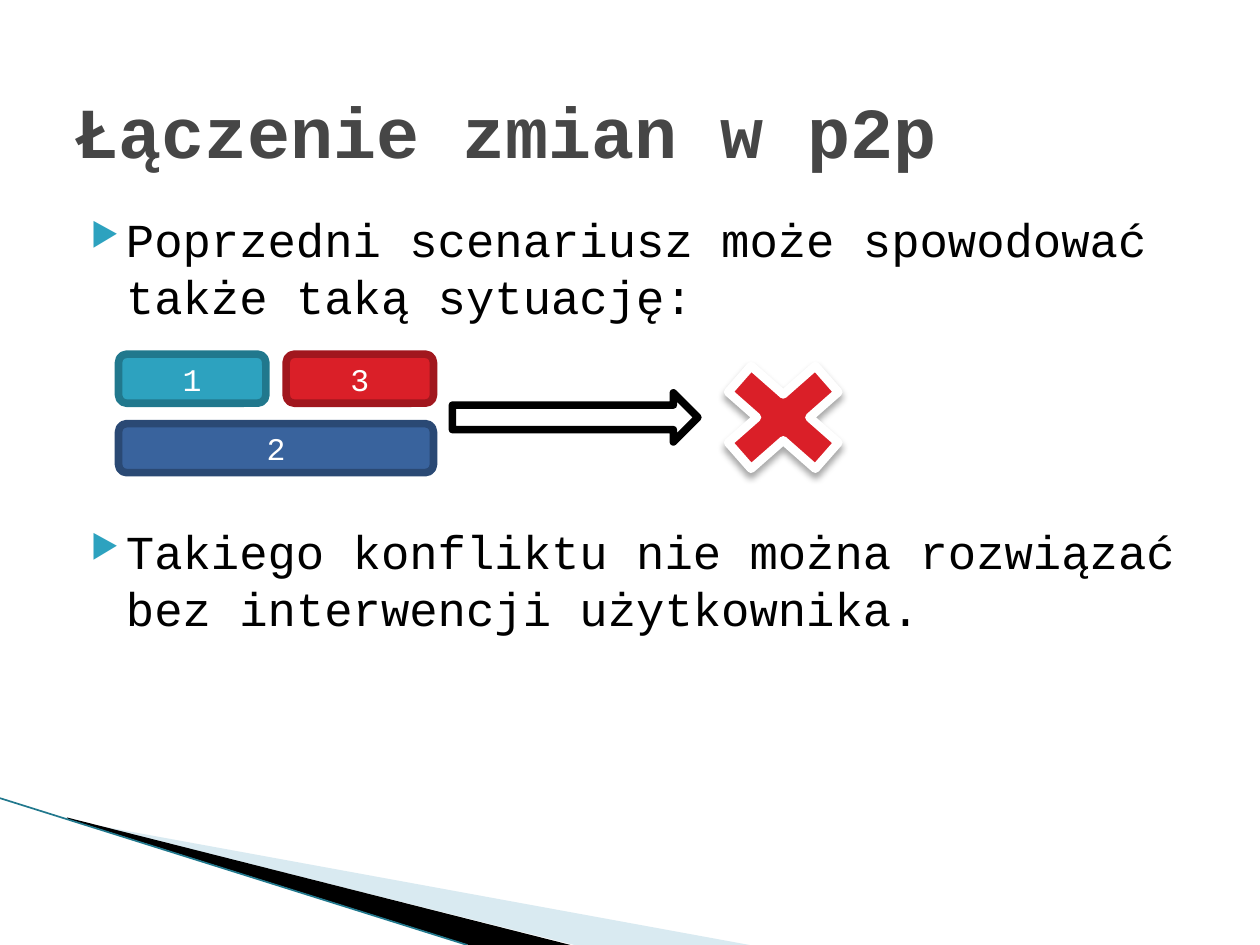
"""Build the slide on merging changes in p2p."""
from dataclasses import dataclass

from lxml import etree
from pptx import Presentation
from pptx.dml.color import RGBColor
from pptx.enum.shapes import MSO_CONNECTOR, MSO_SHAPE
from pptx.enum.text import MSO_ANCHOR, PP_ALIGN
from pptx.oxml.ns import qn
from pptx.util import Cm, Pt

ROUNDED = MSO_SHAPE.ROUNDED_RECTANGLE
ARROW = MSO_SHAPE.RIGHT_ARROW
CROSS = MSO_SHAPE.MATH_MULTIPLY
STRAIGHT = MSO_CONNECTOR.STRAIGHT
TOP, MIDDLE = MSO_ANCHOR.TOP, MSO_ANCHOR.MIDDLE
LEFT, CENTER = PP_ALIGN.LEFT, PP_ALIGN.CENTER


@dataclass(frozen=True)
class Theme:
    font: str = "Courier New"
    title_size: float = 41
    body_size: float = 27
    label_size: float = 18
    body_leading: float = 32.6
    outline: float = 4.33
    cross_outline: float = 5
    title: str = "464646"
    black: str = "000000"
    white: str = "FFFFFF"
    teal: str = "2DA2BF"
    teal_dark: str = "21788D"
    red: str = "DA1F28"
    red_dark: str = "A1171E"
    blue: str = "39639D"
    blue_dark: str = "2A4974"
    pale: str = "A0CBDC"


@dataclass(frozen=True)
class Block:
    kind: int
    x: float
    y: float
    w: float
    h: float
    fill: str
    line: str
    width: float
    label: str = ""


@dataclass(frozen=True)
class Bullet:
    text: str
    before: float


@dataclass(frozen=True)
class Wedge:
    points: tuple
    fill: str
    alpha: int


THEME = Theme()
BOX_X, BOX_Y, BOX_W, BOX_H, GAP = 2.39, 7.14, 2.97, 0.99, 0.41

BLOCKS = (
    Block(ROUNDED, BOX_X, BOX_Y, BOX_W, BOX_H,
          THEME.teal, THEME.teal_dark, THEME.outline, "1"),
    Block(ROUNDED, BOX_X + BOX_W + GAP, BOX_Y, BOX_W, BOX_H,
          THEME.red, THEME.red_dark, THEME.outline, "3"),
    Block(ROUNDED, BOX_X, BOX_Y + BOX_H + GAP, 2 * BOX_W + GAP, BOX_H,
          THEME.blue, THEME.blue_dark, THEME.outline, "2"),
    Block(ARROW, 9.12, 7.92, 4.95, BOX_H,
          THEME.white, THEME.black, THEME.outline),
    Block(CROSS, 14.1, 6.93, 3.38, 2.97,
          THEME.red, THEME.white, THEME.cross_outline),
)
BULLETS = (
    Bullet("Poprzedni scenariusz może spowodować także taką sytuację:", 4),
    Bullet("Takiego konfliktu nie można rozwiązać bez interwencji użytkownika.", 113),
)
WEDGES = (
    Wedge(((1.4, 16.54), (15.11, 19.05), (11.58, 19.05), (1.4, 16.51)),
          THEME.pale, 40),
    Wedge(((1.35, 16.48), (11.5, 19.05), (9.45, 19.05), (1.37, 16.51)),
          THEME.black, 100),
)


def rgb(color: str) -> RGBColor:
    return RGBColor.from_string(color)


def add_xml(parent, tag: str, **attrs):
    return etree.SubElement(parent, qn(tag), {k: str(v) for k, v in attrs.items()})


def write(p, text: str, *, size: float, color: str, bold: bool = False,
          align=LEFT) -> None:
    p.alignment = align
    r = p.add_run()
    r.text = text
    r.font.name = THEME.font
    r.font.size = Pt(size)
    r.font.bold = bold
    r.font.color.rgb = rgb(color)


def add_frame(slide, x: float, y: float, w: float, h: float, anchor):
    tf = slide.shapes.add_textbox(Cm(x), Cm(y), Cm(w), Cm(h)).text_frame
    tf.word_wrap = True
    tf.vertical_anchor = anchor
    return tf


def add_wedge(slide, wedge: Wedge) -> None:
    points = [(Cm(x), Cm(y)) for x, y in wedge.points]
    builder = slide.shapes.build_freeform(*points[0])
    builder.add_line_segments(points[1:], close=True)
    sp = builder.convert_to_shape()
    sp.shadow.inherit = False
    sp.line.fill.background()
    sp.fill.solid()
    sp.fill.fore_color.rgb = rgb(wedge.fill)
    if wedge.alpha < 100:
        clr = sp.element.spPr.find(qn("a:solidFill"))[0]
        add_xml(clr, "a:alpha", val=wedge.alpha * 1000)


def add_edge(slide) -> None:
    cxn = slide.shapes.add_connector(STRAIGHT, Cm(0), Cm(16.09), Cm(9.42), Cm(19.05))
    cxn.line.color.rgb = rgb(THEME.teal_dark)
    cxn.line.width = Pt(0.95)
    add_xml(cxn.element.spPr, "a:effectLst")


def add_bullet(p, bullet: Bullet) -> None:
    write(p, bullet.text, size=THEME.body_size, color=THEME.black)
    p.space_before = Pt(bullet.before)
    p.line_spacing = Pt(THEME.body_leading)
    pPr = p._p.get_or_add_pPr()
    pPr.set("marL", str(Cm(1.02)))
    pPr.set("indent", str(Cm(-0.71)))
    add_xml(add_xml(pPr, "a:buClr"), "a:srgbClr", val=THEME.teal)
    add_xml(pPr, "a:buSzPct", val=68000)
    add_xml(pPr, "a:buChar", char="▶")


def add_block(slide, block: Block):
    sp = slide.shapes.add_shape(block.kind, Cm(block.x), Cm(block.y),
                                Cm(block.w), Cm(block.h))
    sp.shadow.inherit = False
    sp.fill.solid()
    sp.fill.fore_color.rgb = rgb(block.fill)
    sp.line.color.rgb = rgb(block.line)
    sp.line.width = Pt(block.width)
    add_xml(sp.element.spPr.find(qn("a:ln")), "a:round")
    if block.label:
        tf = sp.text_frame
        tf.vertical_anchor = MIDDLE
        write(tf.paragraphs[0], block.label, size=THEME.label_size,
              color=THEME.white, align=CENTER)
    return sp


def add_shadow(sp) -> None:
    effects = sp.element.spPr.find(qn("a:effectLst"))
    shadow = add_xml(effects, "a:outerShdw", blurRad=Pt(4), dist=Pt(3),
                     dir=90 * 60000, rotWithShape=0)
    clr = add_xml(shadow, "a:srgbClr", val=THEME.black)
    add_xml(clr, "a:alpha", val=35000)


def main() -> None:
    prs = Presentation()
    prs.slide_width, prs.slide_height = Cm(25.4), Cm(19.05)
    slide = prs.slides.add_slide(prs.slide_layouts[6])
    for wedge in WEDGES:
        add_wedge(slide, wedge)
    add_edge(slide)
    tf = add_frame(slide, 1.27, 4.11, 22.86, 12.57, TOP)
    for i, bullet in enumerate(BULLETS):
        add_bullet(tf.add_paragraph() if i else tf.paragraphs[0], bullet)
    tf = add_frame(slide, 1.27, 1.02, 22.86, 3.18, MIDDLE)
    write(tf.paragraphs[0], "Łączenie zmian w p2p", size=THEME.title_size,
          color=THEME.title, bold=True)
    for block in BLOCKS:
        sp = add_block(slide, block)
        if block.kind == CROSS:
            add_shadow(sp)
    prs.save("out.pptx")


main()
